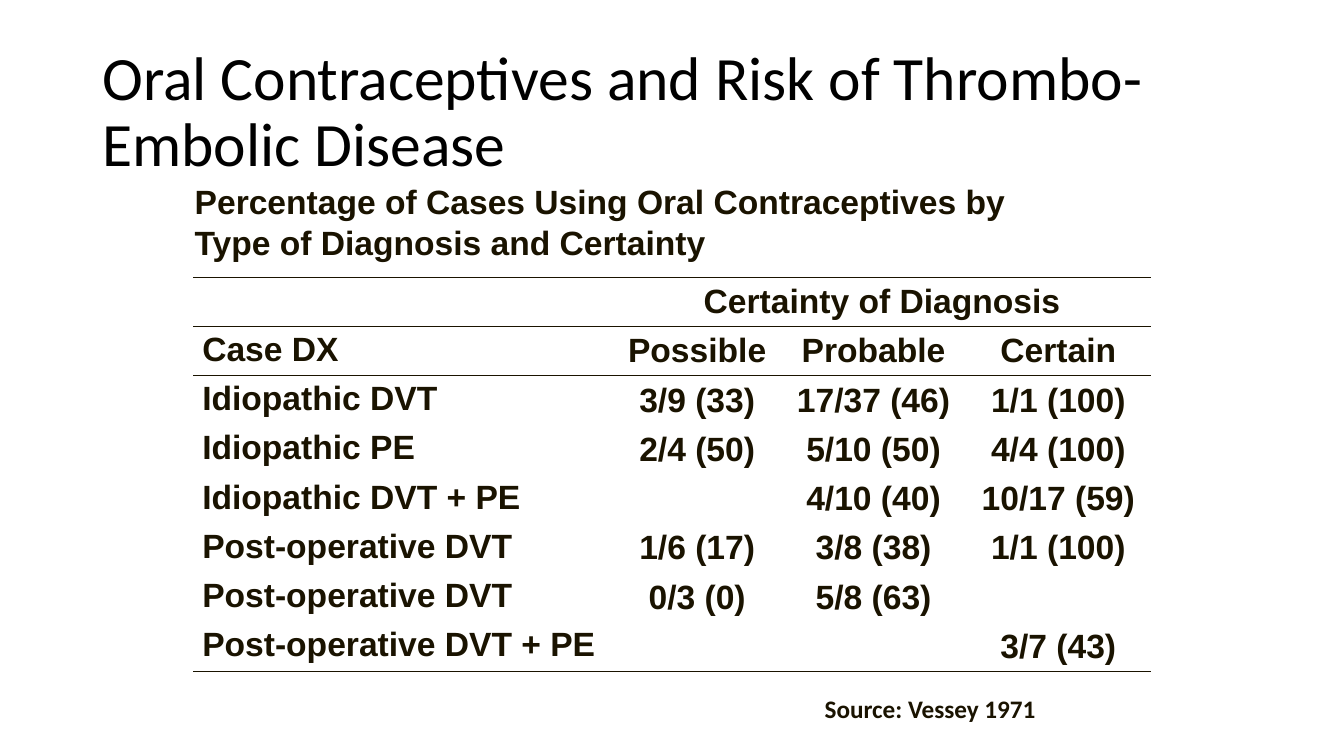
from dataclasses import dataclass

from lxml.etree import SubElement
from pptx import Presentation
from pptx.dml.color import RGBColor
from pptx.enum.text import MSO_ANCHOR as Anchor, MSO_AUTO_SIZE as AutoSize, PP_ALIGN as Align
from pptx.oxml.ns import qn
from pptx.util import Pt


@dataclass(frozen=True)
class Theme:
    title_color: str = "000000"
    ink: str = "1A1300"
    heading_font: str = "Calibri"
    body_font: str = "Arial"
    title_size: int = 44
    body_size: int = 24
    source_size: int = 18
    rule_width: int = 1


THEME = Theme()
NO_STYLE_NO_GRID = "{2D5ABB26-0587-4C30-8999-92F81FD0307C}"

COLUMN_WIDTHS = (300, 120, 132, 132)
ROW_HEIGHT = 32
ROWS = (
    ("", "Certainty of Diagnosis", "", ""),
    ("Case DX", "Possible", "Probable", "Certain"),
    ("Idiopathic DVT", "3/9 (33)", "17/37 (46)", "1/1 (100)"),
    ("Idiopathic PE", "2/4 (50)", "5/10 (50)", "4/4 (100)"),
    ("Idiopathic DVT + PE", "", "4/10 (40)", "10/17 (59)"),
    ("Post-operative DVT", "1/6 (17)", "3/8 (38)", "1/1 (100)"),
    ("Post-operative DVT", "0/3 (0)", "5/8 (63)", ""),
    ("Post-operative DVT + PE", "", "", "3/7 (43)"),
)
RULED_ABOVE = (0, 1, 2)
RULED_BELOW = (0, 1, len(ROWS) - 1)


def add_run(paragraph, text, size, font, color=THEME.ink, bold=True):
    run = paragraph.add_run()
    run.text = text
    run.font.size = Pt(size)
    run.font.name = font
    run.font.bold = bold
    run.font.color.rgb = RGBColor.from_string(color)


def add_text(slide, box, text, size, font, **run_look):
    """Add a wrapping text box at (left, top, width, height) and return its frame."""
    frame = slide.shapes.add_textbox(*map(Pt, box)).text_frame
    frame.word_wrap = True
    add_run(frame.paragraphs[0], text, size, font, **run_look)
    return frame


def add_title(slide, text):
    frame = add_text(slide, (66, 28.75, 828, 104.4), text, THEME.title_size,
                     THEME.heading_font, color=THEME.title_color, bold=False)
    frame.vertical_anchor = Anchor.MIDDLE
    frame.paragraphs[0].line_spacing = 0.9


def add_caption(slide, box, text, size, font):
    add_text(slide, box, text, size, font).auto_size = AutoSize.SHAPE_TO_FIT_TEXT


def rule_cell(cell, row):
    """Draw the cell's horizontal rules and leave its other sides open."""
    properties = cell._tc.get_or_add_tcPr()
    ruled = {"a:lnT": row in RULED_ABOVE, "a:lnB": row in RULED_BELOW}
    for side in ("a:lnL", "a:lnR", "a:lnT", "a:lnB"):
        line = SubElement(properties, qn(side), w=str(Pt(THEME.rule_width)))
        if ruled.get(side):
            fill = SubElement(line, qn("a:solidFill"))
            SubElement(fill, qn("a:srgbClr"), val=THEME.ink)
        else:
            SubElement(line, qn("a:noFill"))


def fill_cell(cell, text, row, column):
    cell.margin_left = cell.margin_right = Pt(6.5)
    cell.margin_top = cell.margin_bottom = Pt(3.2)
    rule_cell(cell, row)
    cell.fill.background()
    if column > 0:
        cell.vertical_anchor = Anchor.MIDDLE
        cell.text_frame.paragraphs[0].alignment = Align.CENTER
    if text:
        add_run(cell.text_frame.paragraphs[0], text, THEME.body_size, THEME.body_font)


def add_diagnosis_table(slide, left, top):
    frame = slide.shapes.add_table(len(ROWS), len(COLUMN_WIDTHS), Pt(left), Pt(top),
                                   Pt(sum(COLUMN_WIDTHS)), Pt(ROW_HEIGHT * len(ROWS)))
    table = frame.table
    table.first_row = table.horz_banding = False
    table._tbl.tblPr.find(qn("a:tableStyleId")).text = NO_STYLE_NO_GRID
    for column, width in zip(table.columns, COLUMN_WIDTHS):
        column.width = Pt(width)
    for r, texts in enumerate(ROWS):
        table.rows[r].height = Pt(ROW_HEIGHT)
        for c, text in enumerate(texts):
            fill_cell(table.cell(r, c), text, r, c)
    table.cell(0, 1).merge(table.cell(0, 3))


def main():
    deck = Presentation()
    deck.slide_width, deck.slide_height = Pt(960), Pt(540)
    slide = deck.slides.add_slide(deck.slide_layouts[6])

    add_title(slide, "Oral Contraceptives and Risk of Thrombo-Embolic Disease")
    add_diagnosis_table(slide, 138, 198)
    add_caption(slide, (132, 126, 642, 65.4),
                "Percentage of Cases Using Oral Contraceptives by Type of Diagnosis and Certainty",
                THEME.body_size, THEME.body_font)
    add_caption(slide, (582, 492, 216, 29),
                "Source: Vessey 1971", THEME.source_size, THEME.heading_font)

    deck.save("out.pptx")


if __name__ == "__main__":
    main()
